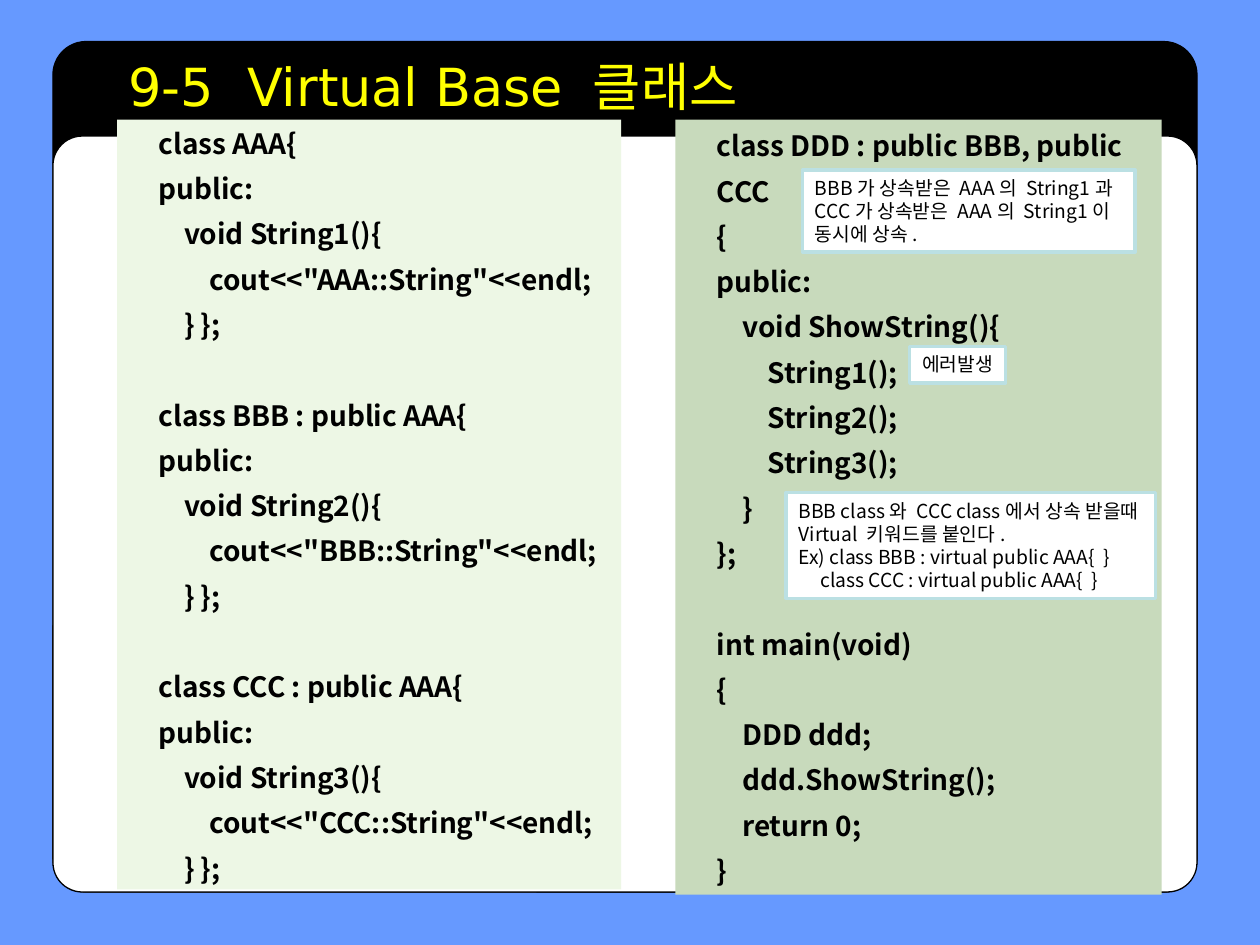
import pptx
import pptx.util
import pptx.dml.color
import pptx.enum.shapes
import pptx.enum.text
import pptx.oxml.ns
from lxml import etree

Inches = pptx.util.Inches
Pt = pptx.util.Pt
SHAPES = pptx.enum.shapes.MSO_SHAPE
ANCHORS = pptx.enum.text.MSO_ANCHOR

CODE_FONT = "Noto Sans CJK KR"
TITLE_FONT = "DejaVu Sans"
CODE_LINE = 25.9  # height in points of one line of code

BASE_CLASSES = """class AAA{
public:
    void String1(){
        cout<<"AAA::String"<<endl;
    } };

class BBB : public AAA{
public:
    void String2(){
        cout<<"BBB::String"<<endl;
    } };

class CCC : public AAA{
public:
    void String3(){
        cout<<"CCC::String"<<endl;
    } };"""

DERIVED_CLASS = """class DDD : public BBB, public CCC
{
public:
    void ShowString(){
        String1();
        String2();
        String3();
    }
};

int main(void)
{
    DDD ddd;
    ddd.ShowString();
    return 0;
}"""

NOTES = [
    ((7.22, 2.75, 0.76, 0.29), "에러발생"),
    ((6.37, 1.35, 2.64, 0.65),
     "BBB가 상속받은 AAA의 String1과\n"
     "CCC가 상속받은 AAA의 String1이\n"
     "동시에 상속."),
    ((6.24, 3.91, 2.93, 0.84),
     "BBB class와 CCC class에서 상속 받을때\n"
     "Virtual 키워드를 붙인다.\n"
     "Ex) class BBB : virtual public AAA{  }\n"
     "     class CCC : virtual public AAA{  }"),
]


def rgb(value):
    return pptx.dml.color.RGBColor.from_string(value)


def add_box(slide, box, fill, line=None, line_width=0.75, preset=SHAPES.RECTANGLE):
    shape = slide.shapes.add_shape(preset, *(Inches(n) for n in box))
    shape.shadow.inherit = False
    shape.fill.solid()
    shape.fill.fore_color.rgb = rgb(fill)
    if line:
        shape.line.color.rgb = rgb(line)
        shape.line.width = Pt(line_width)
    else:
        shape.line.fill.background()
    return shape


def set_insets(frame, left, top, right, bottom):
    frame.margin_left, frame.margin_top = Inches(left), Inches(top)
    frame.margin_right, frame.margin_bottom = Inches(right), Inches(bottom)


def write_lines(frame, text, size, font, color="000000", bold=False, spacing=1.0):
    """One paragraph per line; an empty line becomes space before the next."""
    paragraph, gap = frame.paragraphs[0], 0
    for number, line in enumerate(text.split("\n")):
        if not line:
            gap = CODE_LINE
            continue
        if number:
            paragraph = frame.add_paragraph()
        paragraph.text = line
        paragraph.alignment = pptx.enum.text.PP_ALIGN.LEFT
        paragraph.line_spacing = spacing
        if gap:
            paragraph.space_before = Pt(gap)
            gap = 0
        paragraph.font.size = Pt(size)
        paragraph.font.bold = bold
        paragraph.font.color.rgb = rgb(color)
        paragraph.font.name = font
        # Hangul takes the East Asian typeface
        qn = pptx.oxml.ns.qn
        latin = paragraph._p.pPr.find(qn("a:defRPr")).find(qn("a:latin"))
        east_asian = etree.Element(qn("a:ea"), typeface=font)
        latin.addnext(east_asian)


def add_frame(slide, box, header_height):
    """Black rounded card with a white body below its header."""
    left, top, width, height = box
    body = (left, top + header_height, width, height - header_height)
    for area, fill in ((box, "000000"), (body, "FFFFFF")):
        card = add_box(slide, area, fill, "000000", preset=SHAPES.ROUNDED_RECTANGLE)
        card.adjustments[0] = 0.039


def add_title(slide, box, text):
    frame = slide.shapes.add_textbox(*(Inches(n) for n in box)).text_frame
    frame.word_wrap = True
    frame.vertical_anchor = ANCHORS.MIDDLE
    write_lines(frame, text, 30, TITLE_FONT, "FFFF00")


def add_code_panel(slide, box, code, fill):
    frame = add_box(slide, box, fill).text_frame
    frame.word_wrap = True
    frame.vertical_anchor = ANCHORS.MIDDLE
    set_insets(frame, 0.33, 0.13, 0.1, 0.21)
    write_lines(frame, code, 16, CODE_FONT, bold=True, spacing=1.35)


def add_note(slide, box, text):
    frame = add_box(slide, box, "FFFFFF", "BBE0E3", 2).text_frame
    frame.word_wrap = True
    frame.auto_size = pptx.enum.text.MSO_AUTO_SIZE.NONE
    frame.vertical_anchor = ANCHORS.TOP
    # A narrow right inset keeps each line whole
    set_insets(frame, 0.1, 0.05, 0.02, 0.05)
    write_lines(frame, text, 11, CODE_FONT)


def main():
    deck = pptx.Presentation()
    deck.slide_width, deck.slide_height = Inches(10), Inches(7.5)
    slide = deck.slides.add_slide(deck.slide_layouts[6])
    slide.background.fill.solid()
    slide.background.fill.fore_color.rgb = rgb("6699FF")

    add_frame(slide, (0.42, 0.33, 9.08, 6.75), 0.75)
    # Code: base classes on the left, derived class on the right
    add_code_panel(slide, (0.93, 0.95, 4, 6.11), BASE_CLASSES, "EDF7E5")
    add_code_panel(slide, (5.36, 0.95, 3.86, 6.15), DERIVED_CLASS, "C8DABC")
    add_title(slide, (0.92, 0.33, 8.5, 0.7), "9-5  Virtual Base 클래스")
    # Notes laid over the derived class
    for box, text in NOTES:
        add_note(slide, box, text)

    deck.save("out.pptx")


if __name__ == "__main__":
    main()
